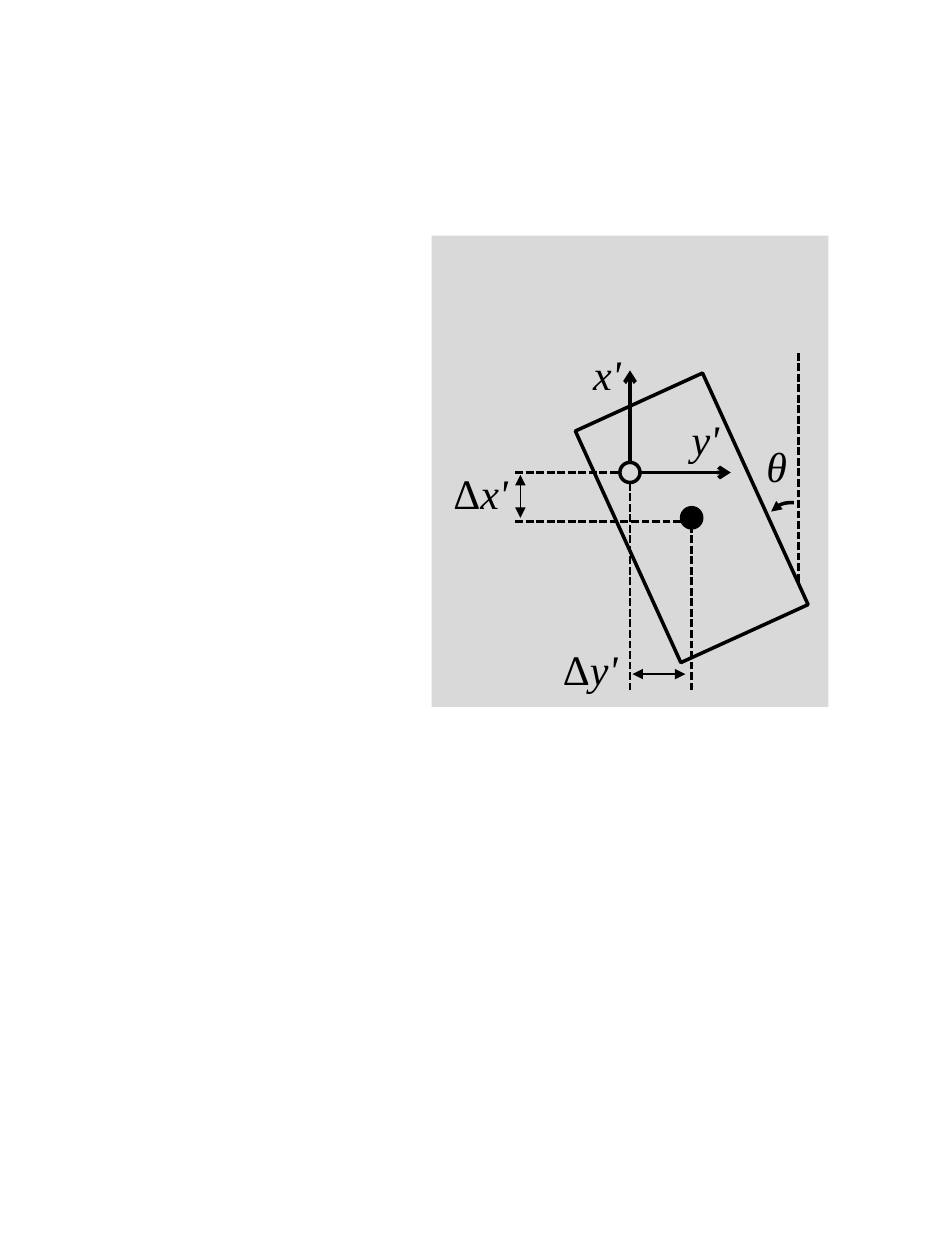
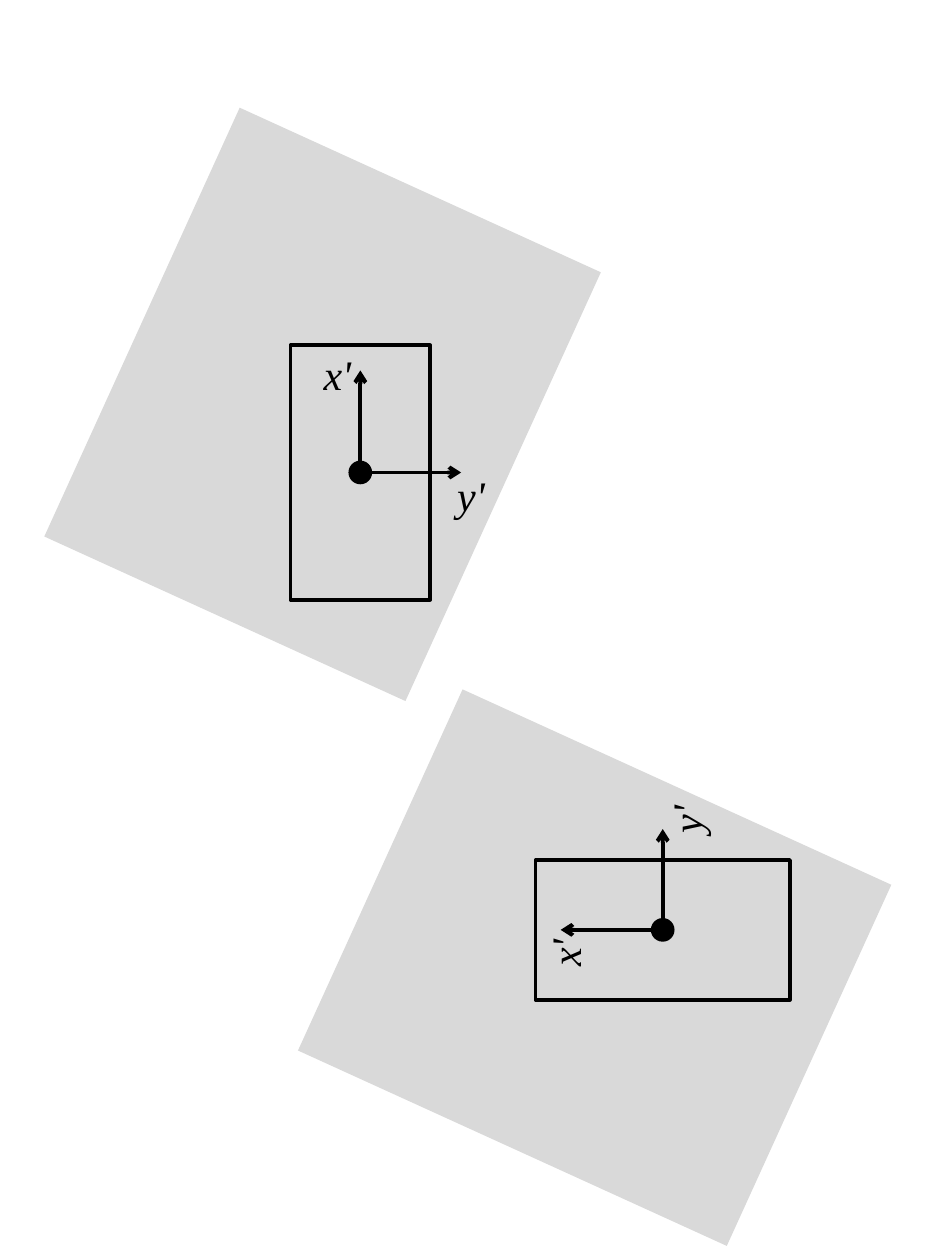
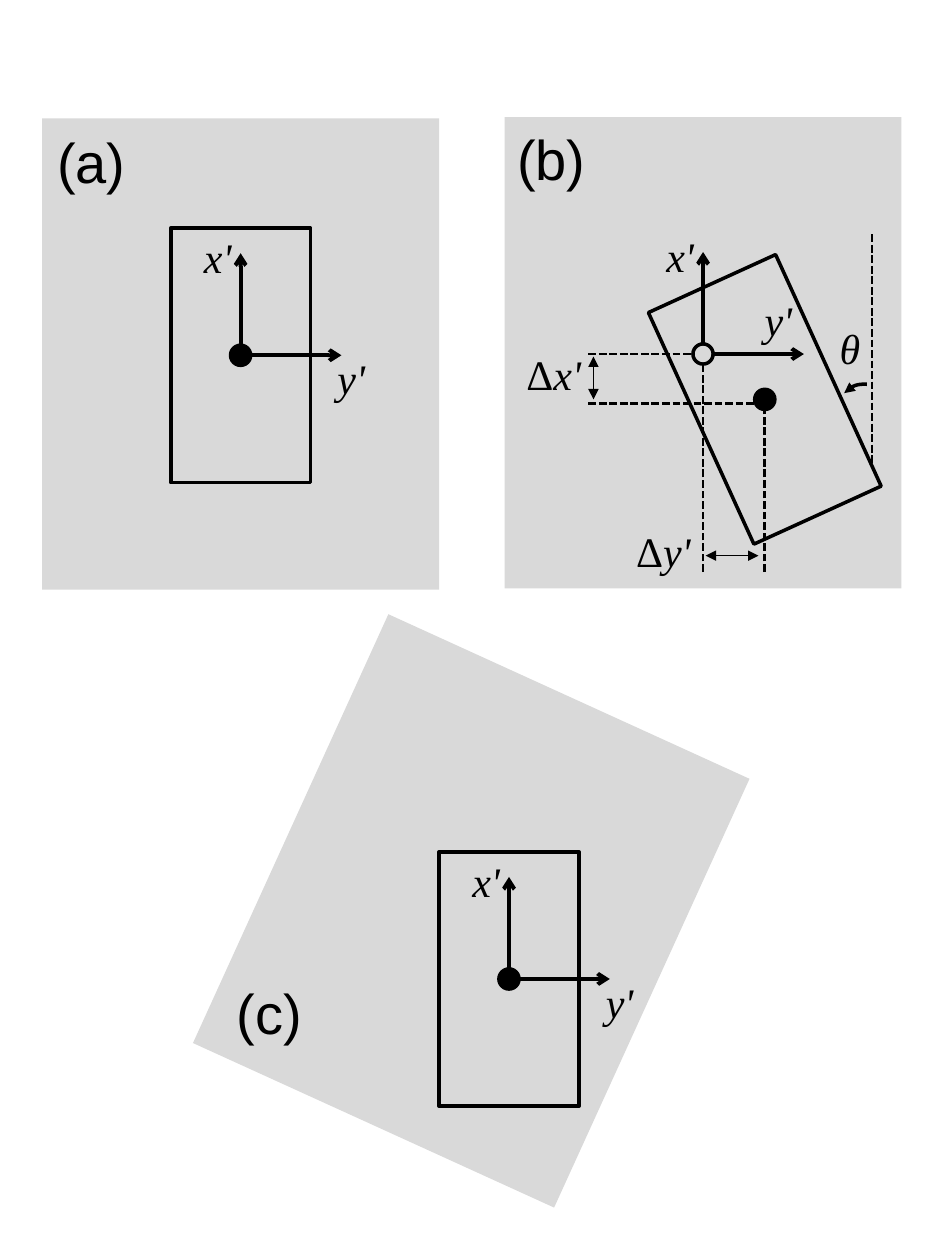
"""Build three slides showing a body, its axes and its displacement from a frame."""
from math import cos, radians, sin

from lxml.etree import SubElement
from pptx import Presentation
from pptx.dml.color import RGBColor
from pptx.enum.dml import MSO_LINE
from pptx.enum.shapes import MSO_CONNECTOR, MSO_SHAPE
from pptx.enum.text import MSO_AUTO_SIZE
from pptx.oxml.ns import qn
from pptx.util import Inches, Pt

TILT = 24.5
FIELD_SIZE = (3.15, 3.74)
BODY_SIZE = (1.11, 2.02)
MARK_SIZE = (0.16, 0.16)


def rgb(value):
    return RGBColor.from_string(value)


def write(paragraph, text, size=24, font="Times New Roman", color="000000", italic=False):
    run = paragraph.add_run()
    run.text = text
    run.font.size = Pt(size)
    run.font.name = font
    run.font.italic = italic
    run.font.color.rgb = rgb(color)


class Diagram:
    ink = "000000"
    field_color = "D9D9D9"

    def __init__(self, deck):
        self.deck = deck

    def new_slide(self):
        self.slide = self.deck.slides.add_slide(self.deck.slide_layouts[6])

    def new_figure(self, x, y, turn=0):
        self.canvas = self.slide.shapes.add_group_shape().shapes
        self.origin = (x, y)
        self.turn = turn

    def place(self, point):
        x, y = point
        angle = radians(self.turn)
        return (Inches(self.origin[0] + x * cos(angle) - y * sin(angle)),
                Inches(self.origin[1] + x * sin(angle) + y * cos(angle)))

    def box(self, center, size):
        x, y = self.place(center)
        width, height = Inches(size[0]), Inches(size[1])
        return x - width // 2, y - height // 2, width, height

    def stroke(self, line, width, dashed=False, head=None, tail=None):
        line.color.rgb = rgb(self.ink)
        line.width = Pt(width)
        if dashed:
            line.dash_style = MSO_LINE.SQUARE_DOT
        outline = line._get_or_add_ln()
        for tag, kind in (("a:headEnd", head), ("a:tailEnd", tail)):
            if kind:
                SubElement(outline, qn(tag), type=kind)

    def shape(self, kind, center, size, fill=None, outlined=True, angle=0):
        part = self.canvas.add_shape(kind, *self.box(center, size))
        part.rotation = (angle + self.turn) % 360
        part.shadow.inherit = False
        if fill:
            part.fill.solid()
            part.fill.fore_color.rgb = rgb(fill)
        else:
            part.fill.background()
        if outlined:
            self.stroke(part.line, 2)
        else:
            part.line.fill.background()

    def field(self, center, angle=0):
        self.shape(MSO_SHAPE.RECTANGLE, center, FIELD_SIZE, self.field_color, False, angle)

    def body(self, center=(0, 0), angle=0):
        self.shape(MSO_SHAPE.RECTANGLE, center, BODY_SIZE, angle=angle)
        self.mark(center, self.ink)

    def mark(self, center, fill):
        self.shape(MSO_SHAPE.OVAL, center, MARK_SIZE, fill)

    def line(self, start, end, width=1.5, **ends):
        link = self.canvas.add_connector(
            MSO_CONNECTOR.STRAIGHT, *self.place(start), *self.place(end))
        self.stroke(link.line, width, **ends)
        SubElement(link._element.spPr, qn("a:effectLst"))

    def curve(self, start, control, end, steps=8):
        points = []
        for step in range(steps + 1):
            t = step / steps
            points.append(self.place([
                (1 - t) ** 2 * a + 2 * t * (1 - t) * b + t ** 2 * c
                for a, b, c in zip(start, control, end)]))
        builder = self.canvas.build_freeform(*points[0])
        builder.add_line_segments(points[1:], close=False)
        arc = builder.convert_to_shape()
        arc.fill.background()
        arc.shadow.inherit = False
        self.stroke(arc.line, 2, tail="triangle")

    def label(self, center, symbol, prefix="", width=0.42):
        frame = self.text_frame(center, (width, 0.5))
        if prefix:
            write(frame.paragraphs[0], prefix)
        write(frame.paragraphs[0], symbol, italic=True)

    def letter(self, center, text, width=0.75):
        frame = self.text_frame(center, (width, 0.64))
        write(frame.paragraphs[0], text, size=32, font="Arial")

    def text_frame(self, center, size):
        holder = self.canvas.add_textbox(*self.box(center, size))
        holder.rotation = self.turn % 360
        holder.text_frame.word_wrap = False
        holder.text_frame.auto_size = MSO_AUTO_SIZE.SHAPE_TO_FIT_TEXT
        return holder.text_frame

    def axes(self, y_label):
        self.line((0, -0.02), (0, -0.81), 2.25, tail="arrow")
        self.line((0.01, 0), (0.8, 0), 2.25, tail="arrow")
        self.label((-0.18, -0.78), "x'")
        self.label(y_label, "y'")

    def aligned_figure(self, x, y, turn=0, field_center=(-0.3, -0.54), field_angle=TILT):
        self.new_figure(x, y, turn)
        self.field(field_center, field_angle)
        self.body()
        self.axes((0.88, 0.18))

    def displaced_figure(self, x, y):
        self.new_figure(x, y)
        self.field((0, -0.01))
        guides = [((-0.91, 0), (0, 0)), ((-0.91, 0.39), (0.47, 0.39)),
                  ((0, 1.73), (0, 0)), ((0.49, 1.73), (0.49, 0.35)),
                  ((1.34, -0.95), (1.34, 0.87))]
        for start, end in guides:
            self.line(start, end, dashed=True)
        for start, end in [((-0.87, 0.02), (-0.87, 0.36)), ((0.44, 1.6), (0.02, 1.6))]:
            self.line(start, end, 0.75, head="triangle", tail="triangle")
        self.label((-1.18, 0.16), "x'", prefix="Δ", width=0.64)
        self.label((-0.31, 1.56), "y'", prefix="Δ", width=0.64)
        self.curve((1.3, 0.24), (1.19, 0.23), (1.12, 0.31))
        self.label((1.17, -0.05), "θ", width=0.37)
        self.body((0.49, 0.36), -TILT)
        self.axes((0.6, -0.27))
        self.mark((0, 0), self.field_color)


def main():
    deck = Presentation()
    deck.slide_width, deck.slide_height = Inches(7.5), Inches(10)
    diagram = Diagram(deck)

    diagram.new_slide()
    diagram.displaced_figure(5, 3.75)

    diagram.new_slide()
    diagram.aligned_figure(2.86, 3.75)
    diagram.aligned_figure(5.26, 7.38, turn=-90)

    diagram.new_slide()
    diagram.aligned_figure(1.91, 2.82, field_center=(0, -0.01), field_angle=0)
    diagram.letter((-1.18, -1.54), "(a)")
    diagram.displaced_figure(5.58, 2.81)
    diagram.letter((-1.2, -1.55), "(b)")
    diagram.aligned_figure(4.04, 7.77)
    diagram.letter((-1.9, 0.27), "(c)", width=0.72)

    deck.save("out.pptx")


main()
